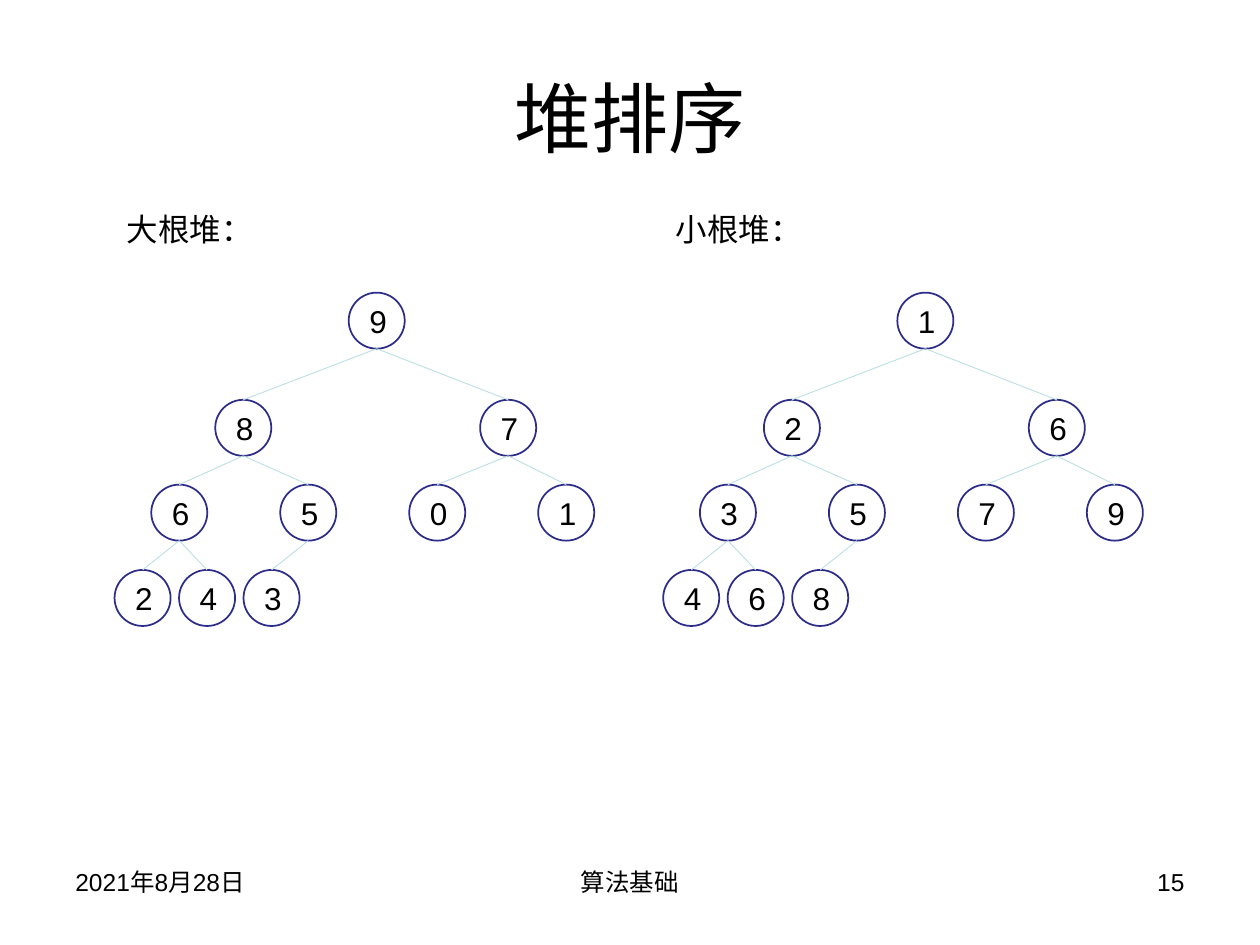
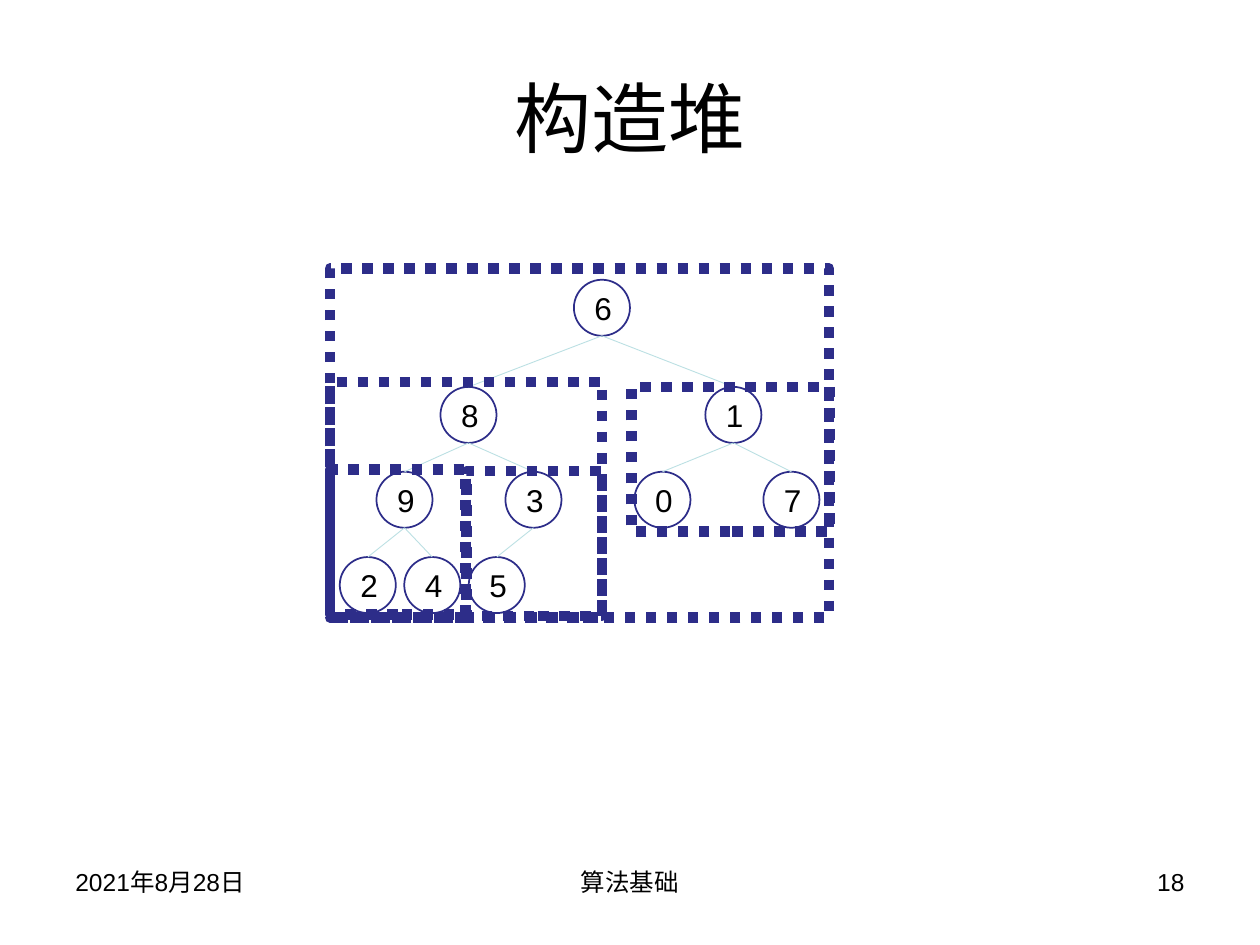
from lxml import etree
from pptx import Presentation
from pptx.dml.color import RGBColor
from pptx.enum import dml, shapes, text
from pptx.oxml.ns import qn
from pptx.util import Cm, Pt

BLACK = RGBColor(0x00, 0x00, 0x00)
WHITE = RGBColor(0xFF, 0xFF, 0xFF)
NAVY = RGBColor(0x2D, 0x2D, 0x89)
PALE_TEAL = RGBColor(0xBB, 0xE0, 0xE3)
FONT = "Arial"

DATE, COURSE = "2021年8月28日", "算法基础"
SLIDES = [
    {
        "title": "堆排序",
        "number": "15",
        "heaps": [
            {"label": "大根堆：", "at": (2.31, 5.9), "keys": [9, 8, 7, 6, 5, 0, 1, 2, 4, 3]},
            {"label": "小根堆：", "at": (13.37, 5.9), "keys": [1, 2, 6, 3, 5, 7, 9, 4, 6, 8]},
        ],
        "subtrees": [],
    },
    {
        "title": "构造堆",
        "number": "18",
        "heaps": [{"at": (6.85, 5.64), "keys": [6, 8, 1, 9, 3, 0, 7, 2, 4, 5]}],
        "subtrees": [
            (9.4, 9.5, 2.74, 2.92),
            (6.65, 9.47, 2.74, 2.92),
            (12.73, 7.8, 3.99, 2.92),
            (6.65, 7.7, 5.49, 4.75),
            (6.65, 5.41, 10.06, 7.04),
        ],
    },
]

DIAMETER = 1.13
LABEL_TOP = 4.11
LEVEL_TOPS = [0, 2.16, 3.87, 5.59]
LEVEL_LEFTS = [
    [4.72],
    [2.03, 7.37],
    [0.74 + 2.6 * place for place in range(4)],
    [1.3 * place for place in range(8)],
]
NODE_OFFSETS = [
    (left, top) for top, lefts in zip(LEVEL_TOPS, LEVEL_LEFTS) for left in lefts
]


def write(shape, content, size=18, align=text.PP_ALIGN.LEFT,
          anchor=text.MSO_ANCHOR.TOP, wrap=True, fit=text.MSO_AUTO_SIZE.NONE):
    frame = shape.text_frame
    frame.word_wrap = wrap
    frame.auto_size = fit
    frame.vertical_anchor = anchor
    paragraph = frame.paragraphs[0]
    paragraph.alignment = align
    run = paragraph.add_run()
    run.text = content
    run.font.name = FONT
    run.font.size = Pt(size)
    run.font.color.rgb = BLACK


def add_outlined(container, preset, box, width):
    shape = container.add_shape(preset, *map(Cm, box))
    shape.shadow.inherit = False
    shape.line.color.rgb = NAVY
    shape.line.width = Pt(width)
    return shape


def add_node(container, key, left, top):
    node = add_outlined(container, shapes.MSO_SHAPE.OVAL,
                        (left, top, DIAMETER, DIAMETER), 1)
    node.fill.solid()
    node.fill.fore_color.rgb = WHITE
    write(node, str(key), align=text.PP_ALIGN.CENTER, anchor=text.MSO_ANCHOR.MIDDLE)
    return node


def add_edge(container, parent, child):
    edge = container.add_connector(
        shapes.MSO_CONNECTOR.STRAIGHT,
        parent.left + parent.width // 2, parent.top + parent.height,
        child.left + child.width // 2, child.top)
    edge.end_connect(child, 0)
    edge.line.color.rgb = PALE_TEAL
    edge.line.width = Pt(0.5)
    etree.SubElement(edge._element.spPr, qn("a:effectLst"))


def add_heap(slide, heap):
    left, top = heap["at"]
    labelled = "label" in heap
    container = slide.shapes.add_group_shape().shapes if labelled else slide.shapes
    nodes = [add_node(container, key, left + dx, top + dy)
             for key, (dx, dy) in zip(heap["keys"], NODE_OFFSETS)]
    for index in range(1, len(nodes)):
        add_edge(container, nodes[(index - 1) // 2], nodes[index])
    if labelled:
        label = slide.shapes.add_textbox(Cm(left), Cm(LABEL_TOP), Cm(2.77), Cm(1.02))
        write(label, heap["label"], wrap=False,
              fit=text.MSO_AUTO_SIZE.SHAPE_TO_FIT_TEXT)


def add_subtree(slide, box):
    subtree = add_outlined(slide.shapes, shapes.MSO_SHAPE.RECTANGLE, box, 6)
    subtree.fill.background()
    subtree.line.dash_style = dml.MSO_LINE.ROUND_DOT


def add_title_and_footers(slide, title, number):
    heading = slide.shapes.title
    heading.left, heading.top, heading.width, heading.height = map(
        Cm, (1.27, 0.76, 22.86, 3.18))
    write(heading, title, size=44, align=text.PP_ALIGN.CENTER,
          anchor=text.MSO_ANCHOR.MIDDLE)
    footers = [
        (DATE, 1.27, 5.93, text.PP_ALIGN.LEFT),
        (COURSE, 8.68, 8.04, text.PP_ALIGN.CENTER),
        (number, 18.2, 5.93, text.PP_ALIGN.RIGHT),
    ]
    for content, left, width, align in footers:
        footer = slide.shapes.add_textbox(Cm(left), Cm(17.35), Cm(width), Cm(1.32))
        write(footer, content, size=14, align=align)


def main():
    deck = Presentation()
    deck.slide_width, deck.slide_height = Cm(25.4), Cm(19.05)
    for page in SLIDES:
        slide = deck.slides.add_slide(deck.slide_layouts[5])
        add_title_and_footers(slide, page["title"], page["number"])
        for heap in page["heaps"]:
            add_heap(slide, heap)
        for box in page["subtrees"]:
            add_subtree(slide, box)
    deck.save("out.pptx")


if __name__ == "__main__":
    main()
